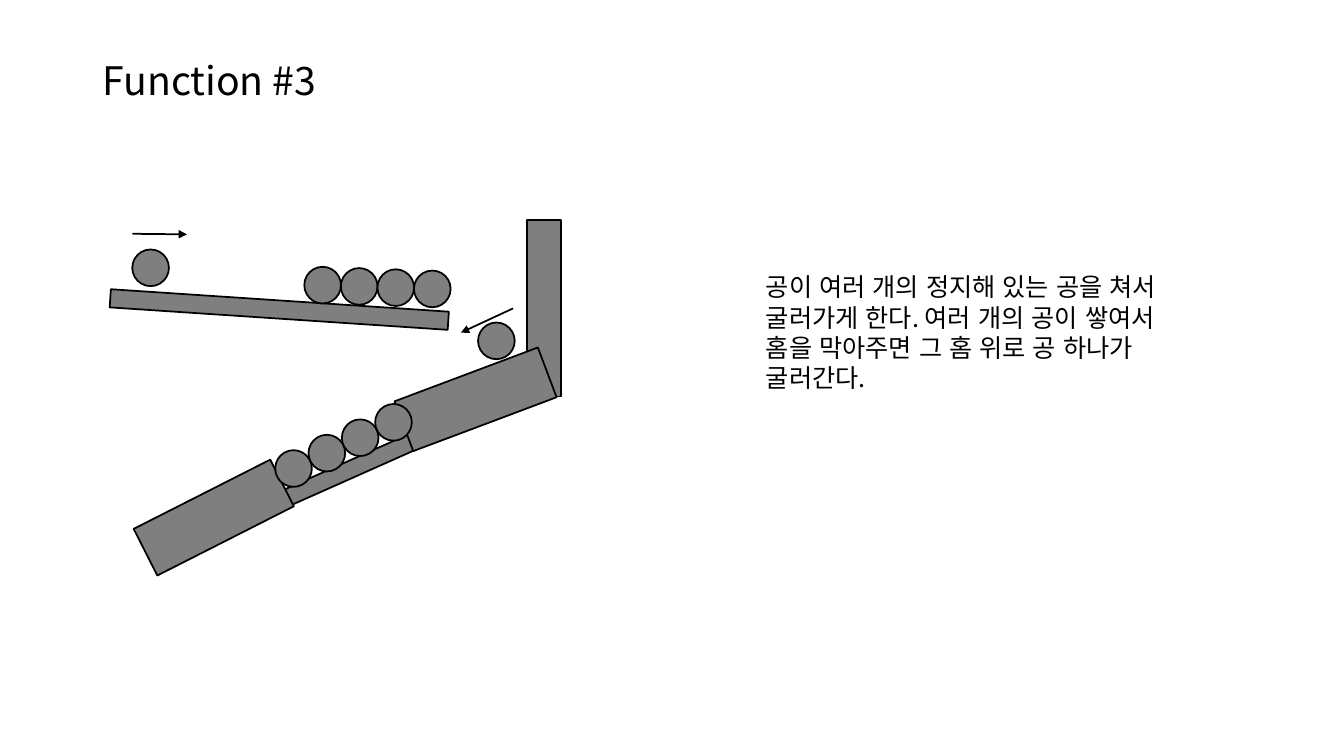
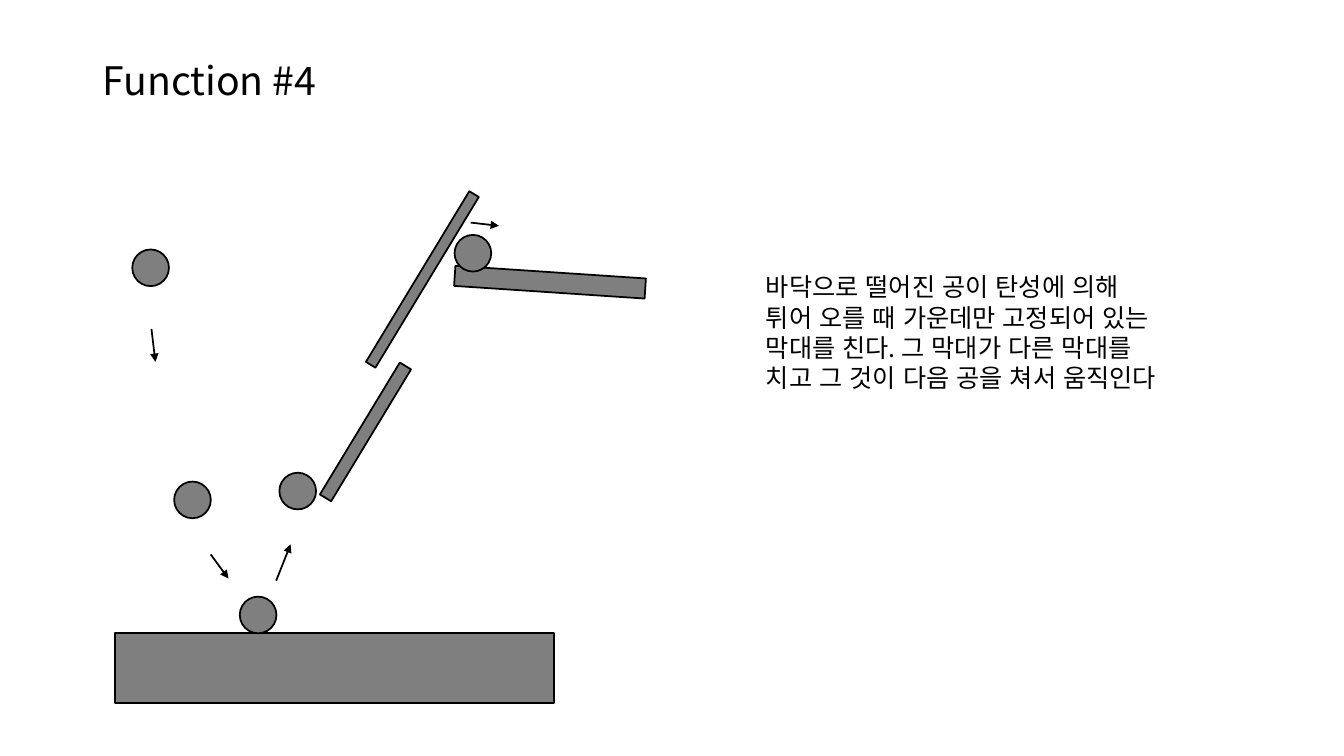
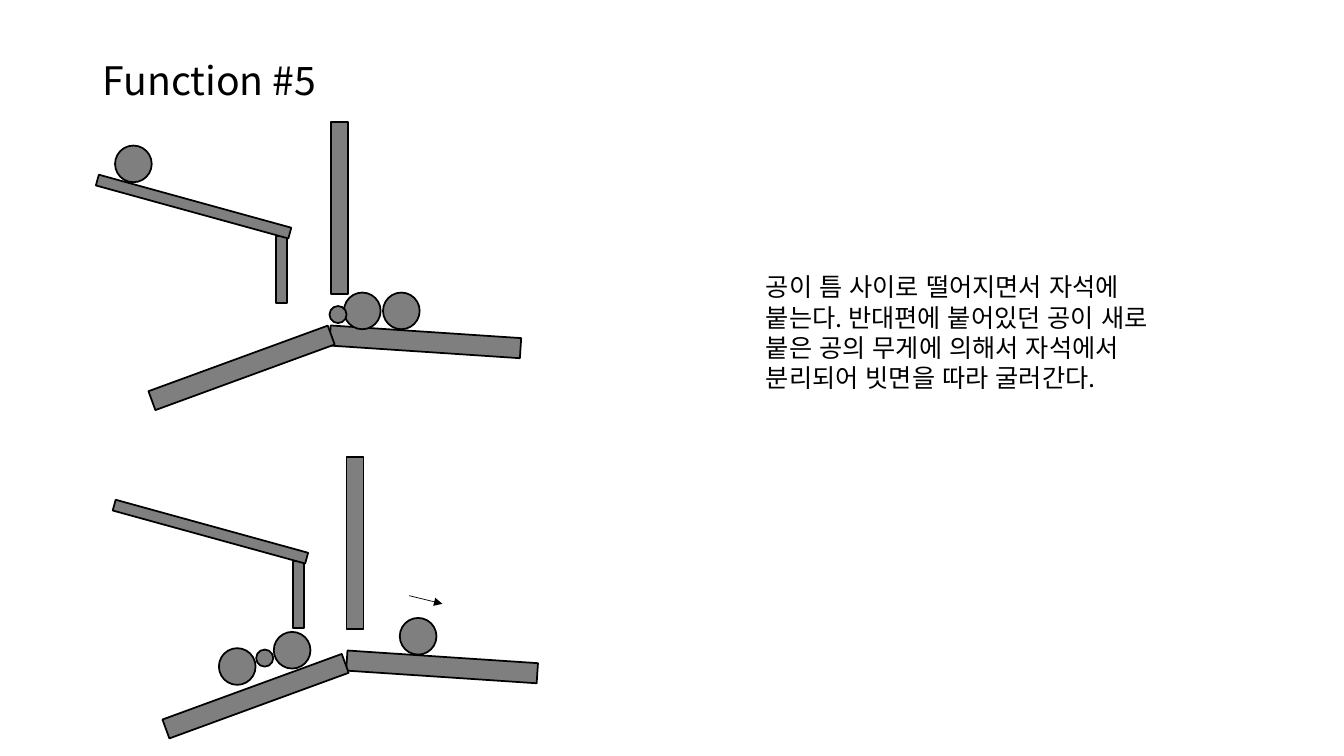
from lxml import etree
from pptx import Presentation
from pptx.dml.color import RGBColor
from pptx.enum import lang, shapes, text
from pptx.oxml import ns
from pptx.util import Pt


def color(hex_string):
    return RGBColor.from_string(hex_string)


def write(frame, content, size=18, ink="000000", font="Noto Sans CJK KR", spacing=1.0,
          anchor=text.MSO_ANCHOR.TOP, auto_size=text.MSO_AUTO_SIZE.NONE,
          language=lang.MSO_LANGUAGE_ID.KOREAN):
    frame.word_wrap = True
    frame.auto_size = auto_size
    frame.vertical_anchor = anchor
    paragraph = frame.paragraphs[0]
    paragraph.alignment = text.PP_ALIGN.LEFT
    paragraph.line_spacing = spacing
    run = paragraph.add_run()
    run.text = content
    run.font.size = Pt(size)
    run.font.name = font
    run.font.language_id = language
    run.font.color.rgb = color(ink)
    east_asian = etree.SubElement(run.font._element, ns.qn("a:ea"))
    east_asian.set("typeface", font)


class Sketch:
    """Holds the drawing style and the slide being drawn; lengths are in points."""

    FILL = "7F7F7F"
    LINE = "000000"
    LINE_WIDTH = 1.25
    BALL = 26.2
    TITLE_BOX = (66, 28, 624, 49.6)

    def __init__(self, presentation):
        self.presentation = presentation
        self.slide = None

    def new_slide(self, title, description, width=301, height=94):
        """Adds a slide; width and height are those of the description."""
        title_only = self.presentation.slide_layouts[5]
        self.slide = self.presentation.slides.add_slide(title_only)
        heading = self.slide.shapes.title
        heading.left, heading.top, heading.width, heading.height = map(Pt, self.TITLE_BOX)
        write(heading.text_frame, title, size=28, spacing=0.9, anchor=text.MSO_ANCHOR.BOTTOM)
        box = self.slide.shapes.add_textbox(Pt(540), Pt(190.5), Pt(width), Pt(height))
        write(box.text_frame, description, auto_size=text.MSO_AUTO_SIZE.SHAPE_TO_FIT_TEXT)

    def solid(self, kind, left, top, width, height, rotation=0):
        shape = self.slide.shapes.add_shape(kind, Pt(left), Pt(top), Pt(width), Pt(height))
        shape.rotation = rotation
        shape.shadow.inherit = False
        shape.fill.solid()
        shape.fill.fore_color.rgb = color(self.FILL)
        shape.line.color.rgb = color(self.LINE)
        shape.line.width = Pt(self.LINE_WIDTH)

    def bar(self, left, top, width, height, rotation=0):
        self.solid(shapes.MSO_SHAPE.RECTANGLE, left, top, width, height, rotation)

    def ball(self, left, top, diameter=BALL):
        self.solid(shapes.MSO_SHAPE.OVAL, left, top, diameter, diameter)

    def ball_row(self, left, top, step_x, step_y, count=4):
        for index in range(count):
            self.ball(left + index * step_x, top + index * step_y)

    def arrow(self, start, end, width=LINE_WIDTH):
        connector = self.slide.shapes.add_connector(
            shapes.MSO_CONNECTOR.STRAIGHT, *map(Pt, (*start, *end)))
        connector.line.color.rgb = color(self.LINE)
        connector.line.width = Pt(width)
        tail = etree.SubElement(connector.line._get_or_add_ln(), ns.qn("a:tailEnd"))
        tail.set("type", "triangle")
        etree.SubElement(connector._element.spPr, ns.qn("a:effectLst"))

    def magnet_track(self, x=0, y=0, wall_shift=(0, 0), slope_shift=(0, 0)):
        """Draws shelf, post, chute, wall and slope, moved by x and y."""
        wall_x, wall_y = wall_shift
        slope_x, slope_y = slope_shift
        self.bar(x + 235.6, y + 237, 136.4, 14.4, 3.8)
        self.bar(x + 197.2, y + 169, 8, 47.5)
        self.bar(x + 67, y + 143.6, 142.6, 8, 15.4)
        self.bar(x + 236.2 + wall_x, y + 87 + wall_y, 12.2, 123)
        self.bar(x + 104.4 + slope_x, y + 255.6 + slope_y, 136.4, 14.4, -20.1)


def draw_blocked_groove(sketch):
    sketch.new_slide("Function #3",
                     "공이 여러 개의 정지해 있는 공을 쳐서 굴러가게 한다. "
                     "여러 개의 공이 쌓여서 홈을 막아주면 그 홈 위로 공 하나가 굴러간다.")
    sketch.bar(200.2, 321, 137.5, 12.2, -24)
    sketch.ball(94.5, 178.2)
    sketch.arrow((94.5, 167), (133.6, 167.4))
    sketch.bar(78.5, 214.6, 242, 13, 3.8)
    sketch.ball_row(217.4, 190.6, step_x=26.1, step_y=0.9)
    sketch.bar(376.4, 157.2, 24.4, 126)
    sketch.bar(285, 266.2, 109.4, 38, -20.6)
    sketch.bar(98, 351, 109.4, 37.4, -26.9)
    sketch.ball_row(196.6, 321.6, step_x=23.8, step_y=-11)
    sketch.ball(341.5, 230.4)
    sketch.arrow((366.5, 220.3), (329.2, 237.6))


def draw_bouncing_ball(sketch):
    sketch.new_slide("Function #4",
                     "바닥으로 떨어진 공이 탄성에 의해 튀어 오를 때 가운데만 고정되어 있는 "
                     "막대를 친다. 그 막대가 다른 막대를 치고 그 것이 다음 공을 쳐서 움직인다",
                     width=298, height=117)
    sketch.bar(324.7, 194.4, 136.4, 14.4, 3.8)
    sketch.bar(82, 452.2, 313.8, 50)
    for left, top in ((94.5, 178.2), (324.7, 167.8), (124.4, 344), (171.3, 426.2), (199.6, 337.7)):
        sketch.ball(left, top)
    sketch.bar(206, 303.8, 110.2, 9.4, -58.8)
    sketch.bar(230.4, 195.6, 142.6, 8, -58.8)
    for start, end in (((108.2, 235), (111, 258.5)), ((150.5, 396), (163.2, 413.3)),
                       ((197.3, 414.7), (207.6, 388.8)), ((336.2, 159), (356.4, 161.3))):
        sketch.arrow(start, end)


def draw_magnet(sketch):
    sketch.new_slide("Function #5",
                     "공이 틈 사이로 떨어지면서 자석에 붙는다. 반대편에 붙어있던 공이 새로 "
                     "붙은 공의 무게에 의해서 자석에서 분리되어 빗면을 따라 굴러간다.")
    magnet = 12.2
    sketch.ball(82.2, 104)
    sketch.magnet_track()
    sketch.ball(245.7, 209)
    sketch.ball(235.4, 218.6, magnet)
    sketch.ball(273.6, 209)

    sketch.ball(156.4, 463)
    sketch.magnet_track(12, 232.2, wall_shift=(-0.7, 7), slope_shift=(-2, 2.3))
    sketch.ball(195.6, 451.4)
    sketch.ball(183, 464, magnet)
    sketch.ball(285.6, 441.4)
    sketch.arrow((292.3, 425.5), (316, 431.3), width=0.5)


def main():
    presentation = Presentation()
    presentation.slide_width, presentation.slide_height = Pt(960), Pt(540)
    sketch = Sketch(presentation)
    for draw in (draw_blocked_groove, draw_bouncing_ball, draw_magnet):
        draw(sketch)
    presentation.save("out.pptx")


if __name__ == "__main__":
    main()
